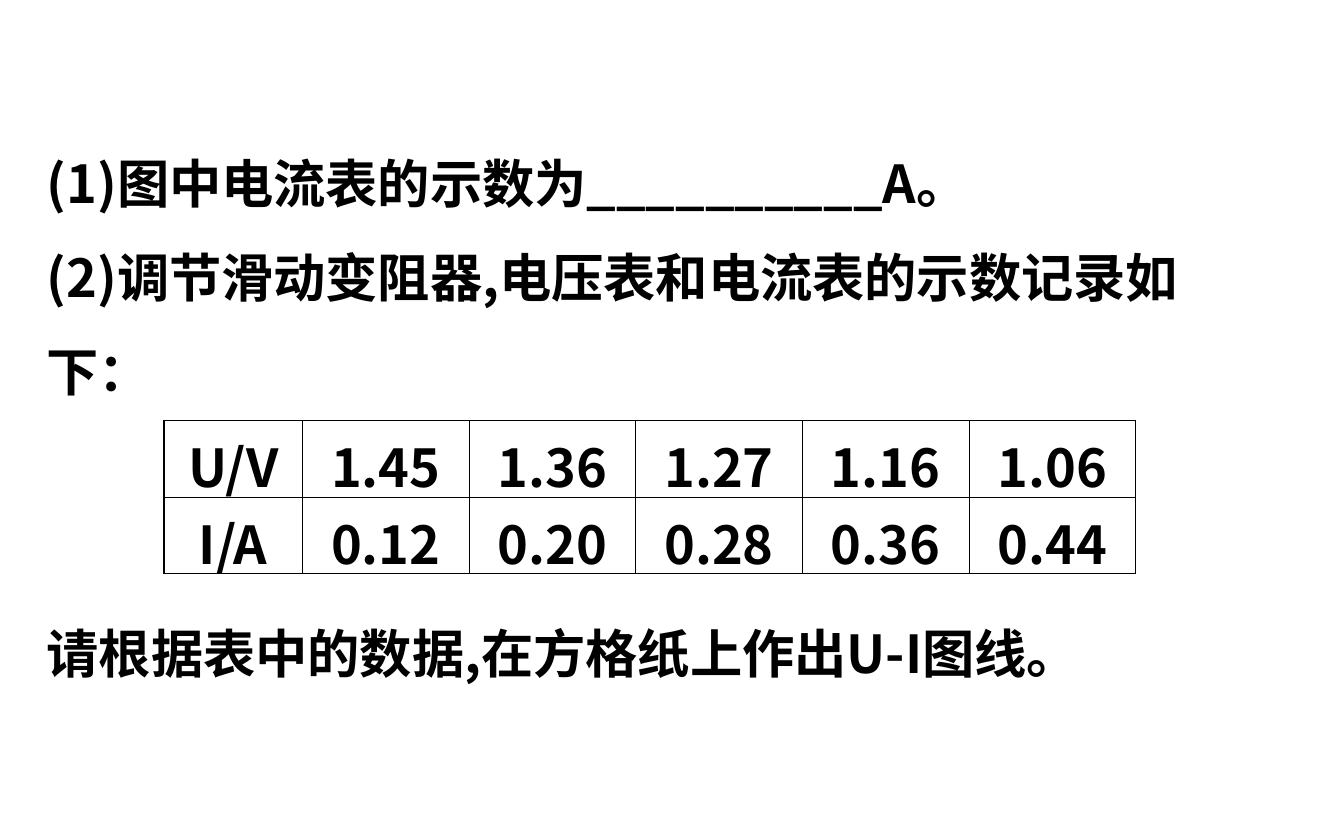
from typing import NamedTuple

from lxml.etree import SubElement
from pptx import Presentation
from pptx.dml.color import RGBColor
from pptx.enum.text import MSO_ANCHOR, PP_ALIGN
from pptx.oxml.ns import qn
from pptx.util import Inches, Pt

FONT = "Noto Sans CJK SC"
INK = "000000"
TEXT_SIZE = 28
SLIDE_W, SLIDE_H = 10, 6.25
LINE_PITCH = 50.35  # points per line at 1.5 spacing
OUTER, INNER = 0.75, 0.45  # border widths in points


class Line(NamedTuple):
    text: str
    lines_before: int = 0


class Reading(NamedTuple):
    quantity: str
    values: tuple[str, ...]


QUESTION = (
    Line("(1)图中电流表的示数为__________A。"),
    Line("(2)调节滑动变阻器,电压表和电流表的示数记录如"),
    Line("下："),
    Line("请根据表中的数据,在方格纸上作出U-I图线。", lines_before=2),
)
READINGS = (
    Reading("U/V", ("1.45", "1.36", "1.27", "1.16", "1.06")),
    Reading("I/A", ("0.12", "0.20", "0.28", "0.36", "0.44")),
)


def rgb(hex_colour: str) -> RGBColor:
    return RGBColor.from_string(hex_colour)


def style_runs(paragraph) -> None:
    for run in paragraph.runs:
        run.font.size = Pt(TEXT_SIZE)
        run.font.bold = True
        run.font.color.rgb = rgb(INK)
        run.font.name = FONT
        SubElement(run._r.get_or_add_rPr(), qn("a:ea"), typeface=FONT)


def set_borders(cell, widths: dict[str, float]) -> None:
    """Draw the cell's sides (L, R, T, B) ahead of its fill in the XML."""
    properties = cell._tc.get_or_add_tcPr()
    for position, (side, width) in enumerate(widths.items()):
        border = SubElement(properties, qn(f"a:ln{side}"), w=str(Pt(width)))
        fill = SubElement(border, qn("a:solidFill"))
        SubElement(fill, qn("a:srgbClr"), val=INK)
        properties.insert(position, border)


def add_question(slide, lines: tuple[Line, ...]) -> None:
    box = slide.shapes.add_textbox(
        Inches(0.25), Inches(0.84), Inches(9.43), Inches(4.31))
    frame = box.text_frame
    frame.word_wrap = True
    frame.text = "\n".join(line.text for line in lines)
    for paragraph, line in zip(frame.paragraphs, lines):
        paragraph.line_spacing = 1.5
        if line.lines_before:
            paragraph.space_before = Pt(line.lines_before * LINE_PITCH)
        style_runs(paragraph)


def add_readings(slide, readings: tuple[Reading, ...]) -> None:
    label_w, value_w, row_h = 1.03, 1.24, 0.57
    rows, cols = len(readings), len(readings[0].values) + 1
    table = slide.shapes.add_table(
        rows, cols, Inches(1.22), Inches(3.13),
        Inches(label_w + value_w * (cols - 1)), Inches(row_h * rows)).table
    table.first_row = table.horz_banding = False
    for c, column in enumerate(table.columns):
        column.width = Inches(value_w if c else label_w)
    for r, reading in enumerate(readings):
        table.rows[r].height = Inches(row_h)
        for c, text in enumerate((reading.quantity, *reading.values)):
            cell = table.cell(r, c)
            cell.text_frame.text = text
            cell.vertical_anchor = MSO_ANCHOR.MIDDLE
            cell.fill.background()
            paragraph = cell.text_frame.paragraphs[0]
            paragraph.alignment = PP_ALIGN.CENTER
            style_runs(paragraph)
            set_borders(cell, {
                "L": INNER if c else OUTER,
                "R": OUTER if c == cols - 1 else INNER,
                "T": INNER if r else OUTER,
                "B": OUTER if r == rows - 1 else INNER,
            })


def main() -> None:
    deck = Presentation()
    deck.slide_width, deck.slide_height = Inches(SLIDE_W), Inches(SLIDE_H)
    slide = deck.slides.add_slide(deck.slide_layouts[6])
    add_question(slide, QUESTION)
    add_readings(slide, READINGS)
    deck.save("out.pptx")


if __name__ == "__main__":
    main()
